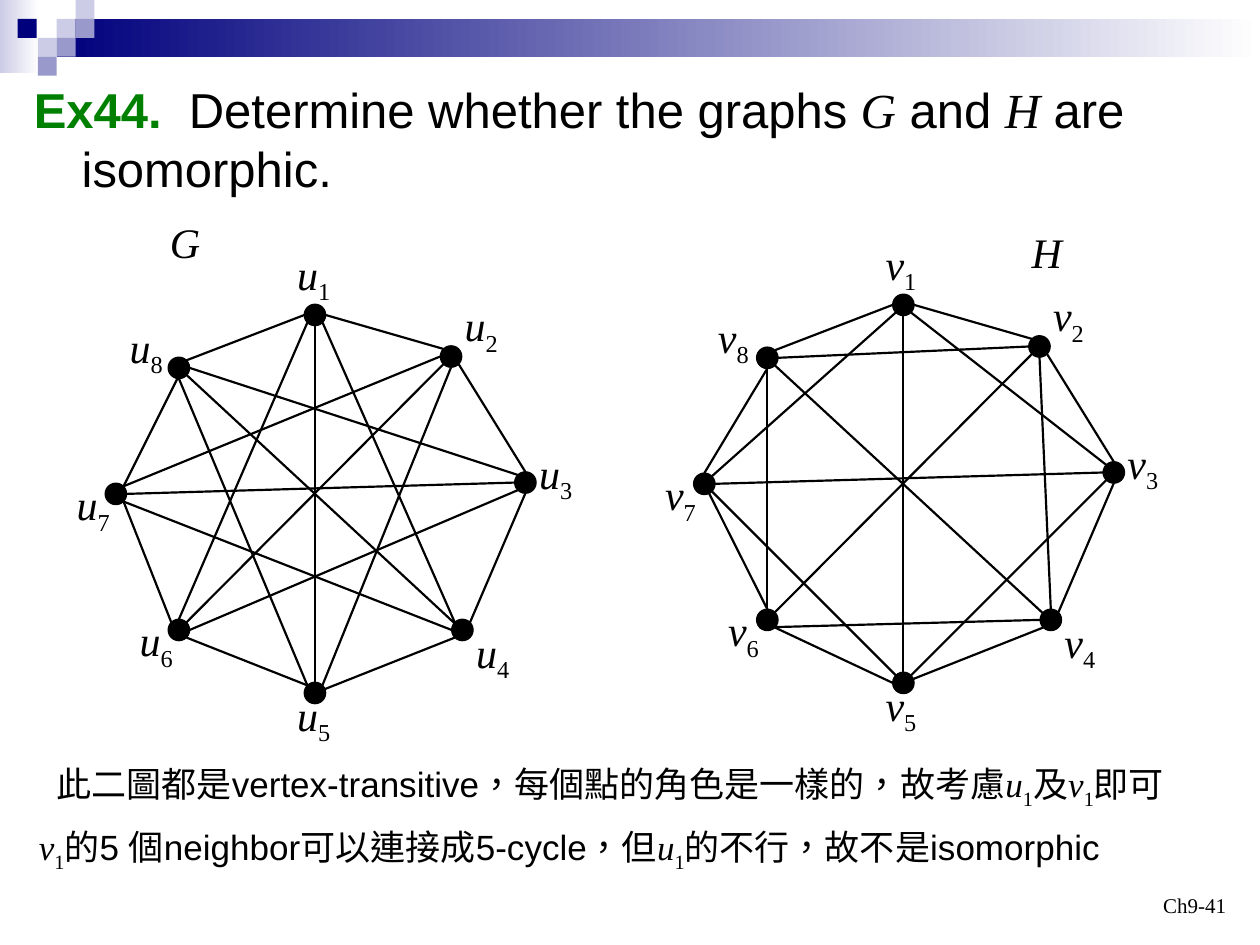
from dataclasses import dataclass

from pptx import Presentation
from pptx.dml.color import RGBColor as RGB
from pptx.enum.shapes import MSO_CONNECTOR as LINE, MSO_SHAPE as SHAPE
from pptx.enum.text import MSO_ANCHOR as ANCHOR, MSO_AUTO_SIZE as FIT, PP_ALIGN as ALIGN
from pptx.oxml.ns import qn
from pptx.util import Cm, Pt


@dataclass(frozen=True)
class Theme:
    ink: str = "000000"
    accent: str = "008000"
    navy: str = "00007D"
    violet: str = "9999CC"
    pale: str = "CCCCE6"
    white: str = "FFFFFF"
    sans: str = "Arial"
    serif: str = "Times New Roman"
    title: int = 28
    label: int = 24
    note: int = 20
    footer: int = 12
    edge: float = 1.25
    outline: float = 0.75


T = Theme()

# Content: positions are in inches; run styles are listed in add_runs
BANDS = [((0, 0, 0.31, 0.58), T.pale), ((0.45, 0.15, 9.55, 0.3), T.navy)]
TILES = [(0.45, 0.15, T.pale), (0.6, 0, T.pale), (0.6, 0.15, T.violet),
         (0.3, 0.3, T.pale), (0.14, 0.15, T.navy), (0.45, 0.3, T.violet),
         (0.3, 0.45, T.violet)]
TILE = 0.15

TITLE = [("Ex44.", "head"), (" ", "wide"),
         ("Determine whether the graphs ", "sans"), ("G", "var"),
         (" and ", "sans"), ("H", "var"), (" are isomorphic.", "sans")]
NOTES = [
    ((0.35, 6, 9.39, 0.48),
     [("此二圖都是vertex-transitive，每個點的角色是一樣的，故考慮", "sans"),
      ("u", "var"), ("1", "sub"), ("及", "sans"),
      ("v", "var"), ("1", "sub"), ("即可", "sans")]),
    ((0.21, 6.5, 9.3, 0.48),
     [("v", "var"), ("1", "sub"),
      ("的5 個neighbor可以連接成5-cycle，但", "sans"),
      ("u", "var"), ("1", "sub"), ("的不行，故不是isomorphic", "sans")]),
]
FOOTER = [("Ch9-41", "serif")]

# Vertex centre and label corner, numbered from 1; both graphs share them
VERTICES = [((2.5, 2.5), (2.26, 1.92)), ((3.58, 2.83), (3.59, 2.33)),
            ((4.17, 3.83), (4.18, 3.5)), ((3.67, 5), (3.68, 4.92)),
            ((2.5, 5.5), (2.26, 5.42)), ((1.42, 5), (1.01, 4.83)),
            ((0.92, 3.92), (0.51, 3.75)), ((1.42, 2.92), (0.93, 2.5))]
DOT = 0.17
LABEL = (0.46, 0.56)

# An edge names each vertex and the compass point where it touches the dot
GRAPHS = [
    dict(name="G", name_at=(1.25, 1.67), vertex="u", shift=(0, 0),
         edges="7NE-2NE 1SW-6N 8C-4SE 8E-3NW 8NE-7NE 2SW-6SW 6SE-5NW "
               "2S-5S 5C-4SW 4NE-3S 1S-5N 1E-2NW 2SE-3N 7SE-6NW 8NE-1W "
               "6E-3SW 8S-5NW 1SE-4NW 7E-3W 7SE-4W"),
    dict(name="H", name_at=(8.09, 1.75), vertex="v", shift=(4.67, -0.08),
         edges="6SE-5W 7C-6N 7C-5NW 5C-4SW 1S-5N 1E-2NW 2SE-3N 8S-7N "
               "4NE-3S 8NE-1W 8E-2W 1SE-3NW 8S-6N 2S-4N 3SW-5NE 4W-6SW "
               "8SE-4SE 2SW-6SW 7E-3W 7NE-1SW"),
]


def cm(inches):
    return Cm(inches * 2.54)


def add_filled(s, kind, box, color, fade=False):
    sp = s.shapes.add_shape(kind, *map(cm, box))
    sp.shadow.inherit = False
    sp.line.fill.background()
    if fade:
        sp.fill.gradient()
        sp.fill.gradient_angle = 0
        for stop, shade in zip(sp.fill.gradient_stops, (color, T.white)):
            stop.color.rgb = RGB.from_string(shade)
    else:
        sp.fill.solid()
        sp.fill.fore_color.rgb = RGB.from_string(color)
    return sp


def add_runs(p, runs, size):
    for text, style in runs:
        r = p.add_run()
        r.text = text
        f = r.font
        f.size = Pt(size)
        f.name = T.serif if style in ("var", "sub", "serif") else T.sans
        f.bold = style == "head"
        f.italic = style == "var"
        f.color.rgb = RGB.from_string(T.accent if style == "head" else T.ink)
        r_pr = r._r.get_or_add_rPr()
        r_pr.set("lang", "zh-TW")  # centres the full-width commas
        if style == "sub":
            r_pr.set("baseline", "-25000")
        elif style == "wide":  # one space, tracked out to double width
            r_pr.set("spc", "780")


def add_text(s, box, runs, size, wrap=False):
    tf = s.shapes.add_textbox(*map(cm, box)).text_frame
    tf.word_wrap = wrap
    # A single-line box grows with its text so that it never breaks
    tf.auto_size = FIT.NONE if wrap else FIT.SHAPE_TO_FIT_TEXT
    add_runs(tf.paragraphs[0], runs, size)
    return tf


def touch_point(end, shift):
    """Point on a dot for an end such as '7NE'; C is its centre."""
    (x, y), _ = VERTICES[int(end[0]) - 1]
    way = end[1:]
    reach = DOT / 2 * (0.71 if len(way) == 2 else 1)
    dx = ("E" in way) - ("W" in way)
    dy = ("S" in way) - ("N" in way)
    return cm(x + shift[0] + reach * dx), cm(y + shift[1] + reach * dy)


def add_graph(s, graph):
    shift = graph["shift"]
    # Edges
    for edge in graph["edges"].split():
        start, end = (touch_point(e, shift) for e in edge.split("-"))
        line = s.shapes.add_connector(LINE.STRAIGHT, *start, *end)
        line.line.color.rgb = RGB.from_string(T.ink)
        line.line.width = Pt(T.edge)
        sp_pr = line._element.spPr
        sp_pr.append(sp_pr.makeelement(qn("a:effectLst"), {}))
    # Vertices and their labels
    for i, ((x, y), (left, top)) in enumerate(VERTICES, 1):
        box = (x + shift[0] - DOT / 2, y + shift[1] - DOT / 2, DOT, DOT)
        dot = add_filled(s, SHAPE.OVAL, box, T.ink)
        dot.line.color.rgb = RGB.from_string(T.ink)
        dot.line.width = Pt(T.outline)
        add_text(s, (left + shift[0], top + shift[1], *LABEL),
                 [(graph["vertex"], "var"), (str(i), "sub")], T.label)
    # Graph name
    add_text(s, (*graph["name_at"], 0.44, 0.5), [(graph["name"], "var")], T.label)


def main():
    prs = Presentation()
    prs.slide_width, prs.slide_height = cm(10), cm(7.5)
    s = prs.slides.add_slide(prs.slide_layouts[6])

    # Header decoration
    for box, color in BANDS:
        add_filled(s, SHAPE.RECTANGLE, box, color, fade=True)
    for x, y, color in TILES:
        add_filled(s, SHAPE.RECTANGLE, (x, y, TILE, TILE), color)

    # Title with hanging indent
    p = add_text(s, (0.17, 0.58, 9.67, 1.17), TITLE, T.title, wrap=True).paragraphs[0]
    p.space_before = Pt(7)
    p_pr = p._p.get_or_add_pPr()
    p_pr.set("marL", str(cm(0.38)))
    p_pr.set("indent", str(-cm(0.38)))

    for graph in GRAPHS:
        add_graph(s, graph)

    # Explanation and page number
    for box, runs in NOTES:
        add_text(s, box, runs, T.note)
    tf = add_text(s, (7.5, 6.83, 2.33, 0.5), FOOTER, T.footer, wrap=True)
    tf.vertical_anchor = ANCHOR.BOTTOM
    tf.paragraphs[0].alignment = ALIGN.RIGHT

    prs.save("out.pptx")


if __name__ == "__main__":
    main()
